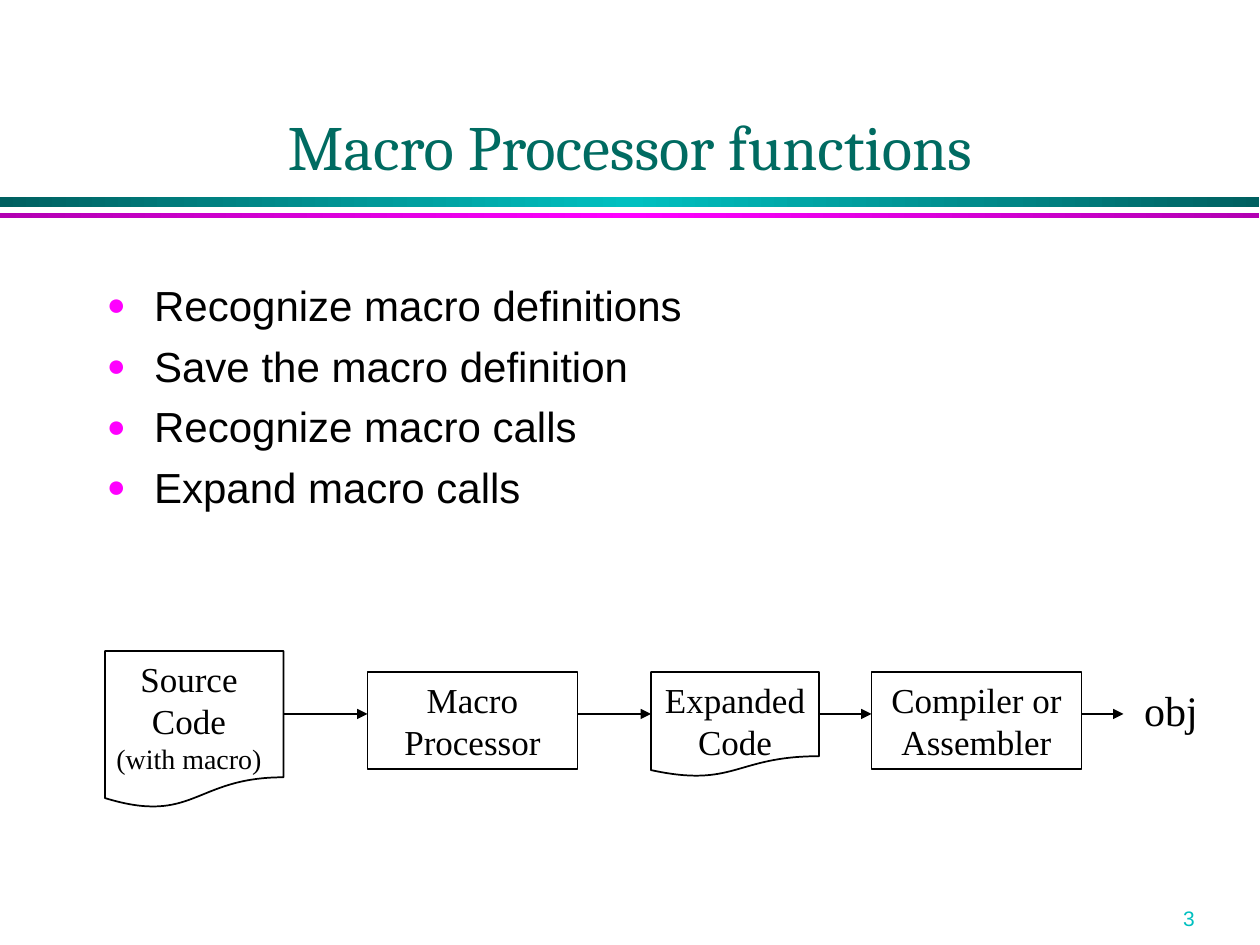
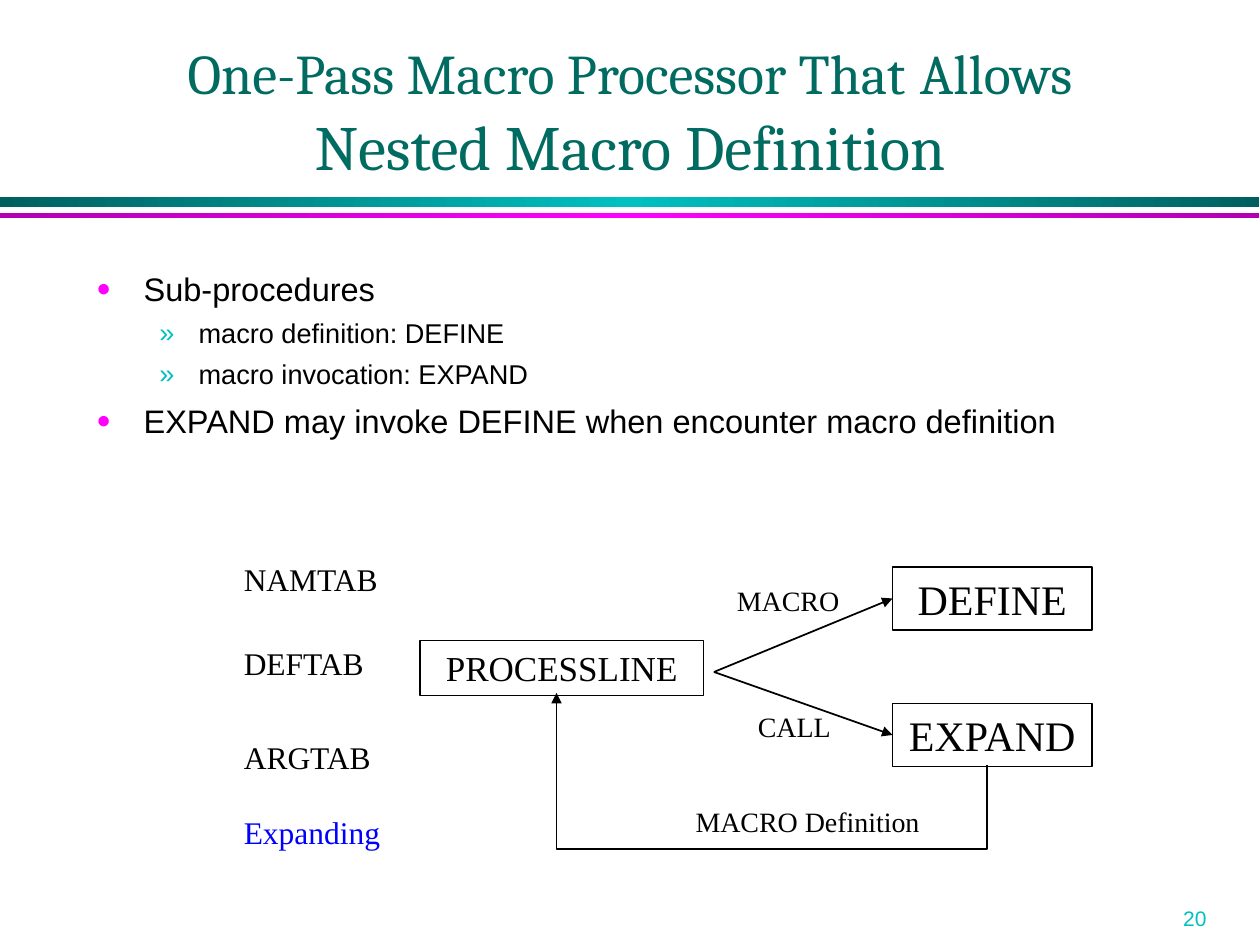
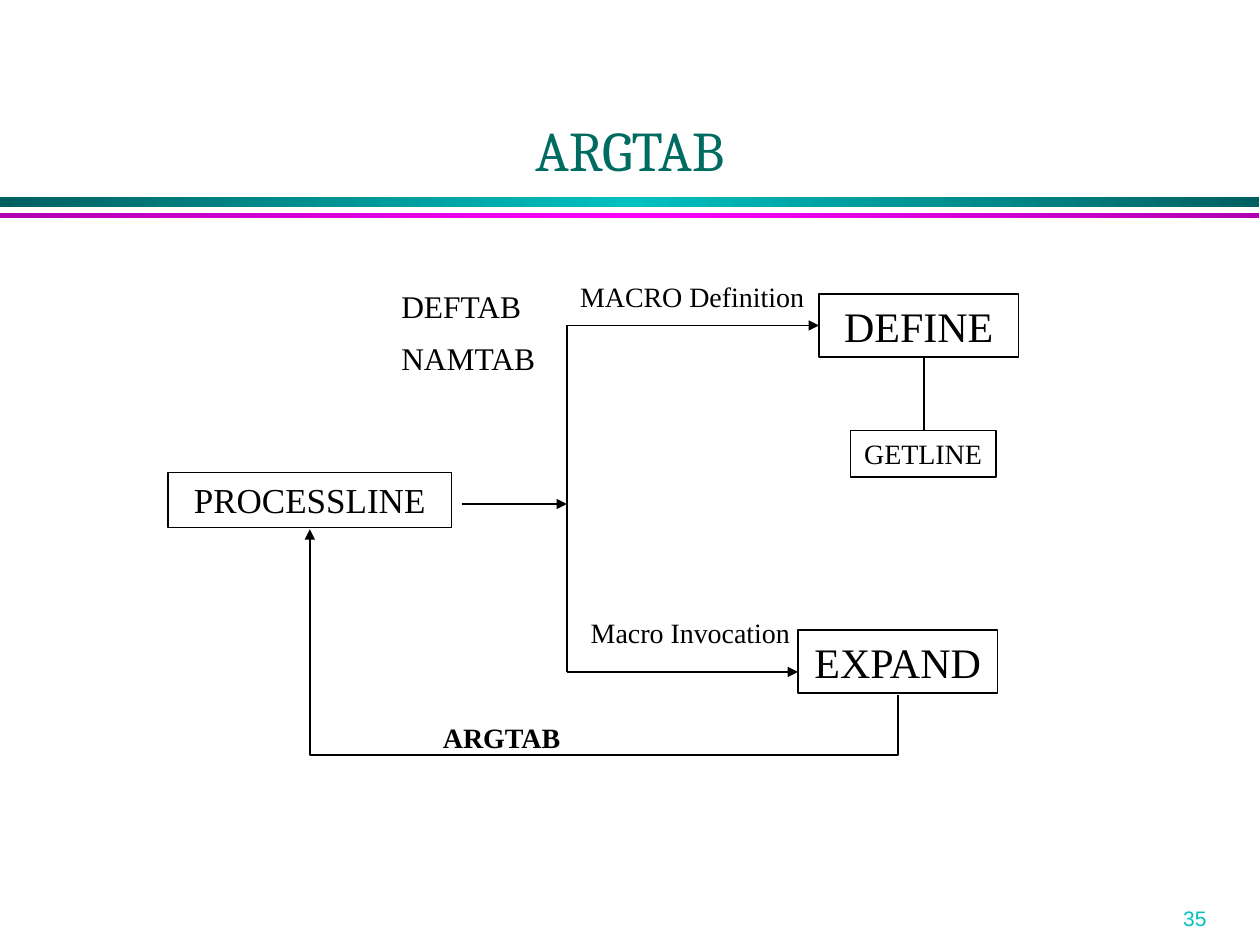
import copy

import lxml.etree
import pptx
import pptx.dml.color
import pptx.enum.shapes
import pptx.enum.text
import pptx.oxml.ns
import pptx.util

Pt = pptx.util.Pt
qn = pptx.oxml.ns.qn
ALIGN = pptx.enum.text.PP_ALIGN
SHAPE = pptx.enum.shapes.MSO_SHAPE
CONNECTOR = pptx.enum.shapes.MSO_CONNECTOR

BLACK = "000000"
BLUE = "0000FF"
TITLE_GREEN = "006B61"
TEAL, DARK_TEAL = "00C0C0", "006060"
MAGENTA, DARK_MAGENTA = "FF00FF", "B200B2"
SERIF, SANS, TITLE_FONT = "Times New Roman", "Arial", "Cambria"

BULLETS = [
    {"level": 0, "margin": 27, "hanging": 27, "character": "●",
     "color": MAGENTA, "percent": 75, "before": 6},
    {"level": 1, "margin": 58.5, "hanging": 22.5, "character": "»",
     "color": TEAL, "percent": 100, "before": 5},
]


def rgb(color):
    return pptx.dml.color.RGBColor.from_string(color)


def add_element(parent, tag, **attributes):
    return lxml.etree.SubElement(parent, qn(tag), **attributes)


def add_bullet(paragraph, bullet):
    properties = paragraph._p.get_or_add_pPr()
    properties.set("marL", str(Pt(bullet["margin"])))
    properties.set("indent", str(-Pt(bullet["hanging"])))
    color = add_element(properties, "a:buClr")
    add_element(color, "a:srgbClr", val=bullet["color"])
    add_element(properties, "a:buSzPct", val=str(bullet["percent"] * 1000))
    add_element(properties, "a:buFont", typeface=SANS)
    add_element(properties, "a:buChar", char=bullet["character"])
    paragraph.level = bullet["level"]


def write(shape, text, size=20, font=SERIF, color=BLACK, bold=False,
          align=ALIGN.LEFT, before=0, bullet=None):
    frame = shape.text_frame
    first = not frame.text
    paragraph = frame.paragraphs[0] if first else frame.add_paragraph()
    if bullet:
        add_bullet(paragraph, bullet)
        before = bullet["before"]
    paragraph.alignment = align
    paragraph.space_before = Pt(0 if first else before)
    runs = [(text, size)] if isinstance(text, str) else text
    for words, run_size in runs:
        run = paragraph.add_run()
        run.text = words
        run.font.name = font
        run.font.size = Pt(run_size)
        run.font.bold = bold
        run.font.color.rgb = rgb(color)


class Deck:
    def __init__(self):
        self.presentation = pptx.Presentation()
        self.presentation.slide_width = Pt(720)
        self.presentation.slide_height = Pt(540)
        self.slide = None

    def start_slide(self, title, number, title_size=36):
        layout = self.presentation.slide_layouts[6]
        self.slide = self.presentation.slides.add_slide(layout)
        self.band(112.5, 6, DARK_TEAL, TEAL)
        self.band(121.5, 3, DARK_MAGENTA, MAGENTA)
        page = self.text_box(669, 514, 69, 21.5)
        write(page, str(number), size=12, font=SANS, color=TEAL)
        heading = self.text_box(54, 18, 612, 90, grow=False)
        heading.text_frame.vertical_anchor = pptx.enum.text.MSO_ANCHOR.BOTTOM
        write(heading, title, size=title_size, font=TITLE_FONT,
              color=TITLE_GREEN, align=ALIGN.CENTER)

    def band(self, top, height, edge, middle):
        shape = self.outline(SHAPE.RECTANGLE, 0, top, 719.5, height)
        shape.line.fill.background()
        shape.fill.gradient()
        shape.fill.gradient_angle = 0
        stop_list = shape._element.spPr.find(".//" + qn("a:gsLst"))
        stop_list.append(copy.deepcopy(stop_list[0]))
        colors = (edge, middle, edge)
        for index, stop in enumerate(shape.fill.gradient_stops):
            stop.position = index / 2
            stop.color.rgb = rgb(colors[index])

    def outline(self, kind, left, top, width, height):
        shape = self.slide.shapes.add_shape(
            kind, Pt(left), Pt(top), Pt(width), Pt(height))
        shape.shadow.inherit = False
        shape.fill.background()
        shape.line.color.rgb = rgb(BLACK)
        shape.line.width = Pt(1)
        return shape

    def set_frame(self, shape, wrap=True, grow=True):
        sizes = pptx.enum.text.MSO_AUTO_SIZE
        frame = shape.text_frame
        frame.word_wrap = wrap
        frame.auto_size = sizes.SHAPE_TO_FIT_TEXT if grow else sizes.NONE
        frame.vertical_anchor = pptx.enum.text.MSO_ANCHOR.TOP

    def text_box(self, left, top, width, height, wrap=True, grow=True):
        shape = self.slide.shapes.add_textbox(
            Pt(left), Pt(top), Pt(width), Pt(height))
        self.set_frame(shape, wrap, grow)
        return shape

    def box(self, text, left, top, width, height, size=20, wrap=True):
        shape = self.outline(SHAPE.RECTANGLE, left, top, width, height)
        self.set_frame(shape, wrap)
        write(shape, text, size=size, align=ALIGN.CENTER)

    def routine(self, text, left, top):
        self.box(text, left, top, 114, 36, size=24)

    def process_line(self, left, top):
        self.box("PROCESSLINE", left, top, 162, 31.5)

    def label(self, text, left, top, width, size=16, **text_format):
        height = {16: 26.5, 18: 29, 24: 36}[size]
        shape = self.text_box(left, top, width, height, wrap=False)
        write(shape, text, size=size, **text_format)
        return shape

    def bullets(self, left, top, height, items):
        shape = self.text_box(left, top, 612, height, grow=False)
        for level, size, text in items:
            write(shape, text, size=size, font=SANS, bullet=BULLETS[level])

    def line(self, start, end, arrow=True, kind=CONNECTOR.STRAIGHT):
        connector = self.slide.shapes.add_connector(
            kind, *(Pt(value) for value in (*start, *end)))
        connector.line.color.rgb = rgb(BLACK)
        connector.line.width = Pt(1)
        properties = connector._element.spPr
        if arrow:
            add_element(properties.find(qn("a:ln")), "a:tailEnd", type="triangle")
        add_element(properties, "a:effectLst")
        return connector

    def return_arrow(self, start, end, lowest):
        across, rise = start[0] - end[0], start[1] - end[1]
        center_x, center_y = (start[0] + end[0]) / 2, (start[1] + end[1]) / 2
        connector = self.line(
            (center_x - rise / 2, center_y - across / 2),
            (center_x + rise / 2, center_y + across / 2),
            kind=CONNECTOR.ELBOW)
        properties = connector._element.spPr
        transform = properties.find(qn("a:xfrm"))
        transform.set("rot", str(270 * 60000))
        transform.set("flipV", "1")
        bend = round((start[1] - lowest) / rise * 100000)
        adjustments = properties.find(".//" + qn("a:avLst"))
        add_element(adjustments, "a:gd", name="adj1", fmla=f"val {bend}")


def build_functions(deck):
    deck.start_slide("Macro Processor functions", 3)
    functions = ("Recognize macro definitions", "Save the macro definition",
                 "Recognize macro calls", "Expand macro calls")
    deck.bullets(54, 156, 324, [(0, 24, text) for text in functions])

    source = deck.text_box(54, 372, 108, 75)
    write(source, "Source Code", align=ALIGN.CENTER)
    write(source, "(with macro)", size=16, align=ALIGN.CENTER)
    deck.outline(SHAPE.FLOWCHART_DOCUMENT, 60, 372, 102, 90)
    deck.box("Macro Processor", 210, 384, 120, 55.5)
    expanded = deck.text_box(372, 384, 96, 55.5)
    write(expanded, "Expanded Code", align=ALIGN.CENTER)
    deck.outline(SHAPE.FLOWCHART_DOCUMENT, 372, 384, 96, 60)
    deck.box("Compiler or Assembler", 498, 384, 120, 55.5)
    for left, right in ((162, 210), (330, 372), (468, 498), (618, 642)):
        deck.line((left, 408), (right, 408))
    deck.label("obj", 646.75, 387.5, 46, size=24)


def build_one_pass(deck):
    deck.start_slide([("One-Pass Macro Processor That", 32), (" ", 36),
                      ("Allows ", 32), ("Nested Macro Definition", 36)], 20)
    deck.bullets(48, 150, 108, [
        (0, 18.6, "Sub-procedures"),
        (1, 15.5, "macro definition: DEFINE"),
        (1, 15.5, "macro invocation: EXPAND"),
        (0, 18.6, "EXPAND may invoke DEFINE when encounter macro definition"),
    ])
    deck.routine("DEFINE", 510, 324)
    deck.routine("EXPAND", 510, 402)
    deck.process_line(240, 366)
    for target in (342, 420):
        deck.line((408, 384), (510, target))
    deck.return_arrow((564, 437), (318, 396), 485.25)

    deck.label("DEFTAB", 132.25, 364.5, 86, size=18)
    deck.label("NAMTAB", 132.25, 316.5, 94, size=18)
    argument_table = deck.label("ARGTAB", 132.25, 418, 96, size=18)
    argument_table.height = Pt(72)
    write(argument_table, "Expanding", size=18, color=BLUE, before=21.5)
    deck.label("MACRO", 414, 330, 75)
    deck.label("CALL", 426, 402, 58)
    deck.label("MACRO Definition", 389, 456, 145, align=ALIGN.CENTER)


def build_argument_table(deck):
    deck.start_slide("ARGTAB", 35, title_size=32)
    deck.routine("DEFINE", 468, 168)
    deck.routine("EXPAND", 456, 360)
    deck.label("DEFTAB", 222.25, 160.5, 86, size=18)
    deck.label("NAMTAB", 222.25, 190, 94, size=18)
    deck.label("ARGTAB", 246, 408, 85, bold=True)
    deck.label("MACRO Definition", 323, 156, 145, align=ALIGN.CENTER)
    deck.label("Macro Invocation", 329, 348, 131, align=ALIGN.CENTER)
    deck.line((324, 186), (468, 186))
    deck.line((324, 384), (456, 384))
    deck.line((324, 186), (324, 384), arrow=False)
    deck.line((264, 288), (324, 288))
    deck.process_line(96, 270)
    deck.return_arrow((513, 397), (177, 302.5), 431.5)
    deck.box("GETLINE", 486, 246, 83, 26.5, size=16, wrap=False)
    deck.line((528, 204), (528, 246), arrow=False)


def main():
    deck = Deck()
    build_functions(deck)
    build_one_pass(deck)
    build_argument_table(deck)
    deck.presentation.save("out.pptx")


if __name__ == "__main__":
    main()
